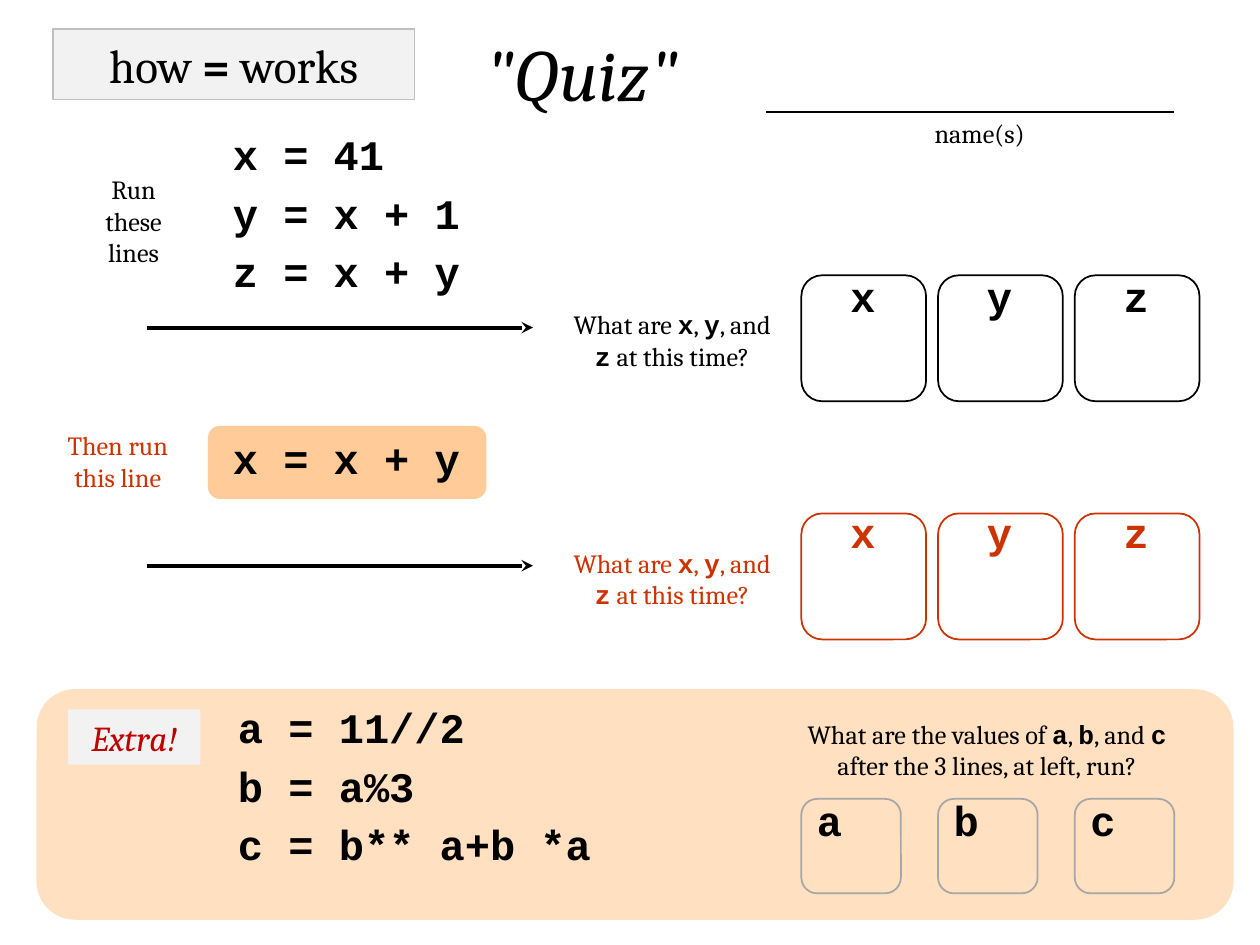
import pptx
import pptx.dml.color
import pptx.enum.shapes
import pptx.enum.text
import pptx.oxml.ns
import pptx.util
from lxml import etree

RGBColor = pptx.dml.color.RGBColor
SHAPE = pptx.enum.shapes.MSO_SHAPE
CENTER = pptx.enum.text.PP_ALIGN.CENTER
ANCHOR = pptx.enum.text.MSO_ANCHOR
Pt = pptx.util.Pt

BLACK = RGBColor(0x00, 0x00, 0x00)
RUST = RGBColor(0xCC, 0x33, 0x00)
RED = RGBColor(0xC0, 0x00, 0x00)
PEACH = RGBColor(0xFF, 0xE0, 0xC1)
ORANGE = RGBColor(0xFF, 0xCC, 0x99)
PALE = RGBColor(0xF2, 0xF2, 0xF2)
SILVER = RGBColor(0xBF, 0xBF, 0xBF)
GRAY = RGBColor(0xA6, 0xA6, 0xA6)

SERIF, MONO = "Cambria", "Courier New"
COLS, ROWS = 100, 75
WIDTH, HEIGHT = pptx.util.Inches(10), pptx.util.Inches(7.5)
BOX_LEFT, BOX_STEP = 63.6, 10.85


def grid(x, y):
    """Turn a column and a row into slide lengths."""
    return round(x * WIDTH / COLS), round(y * HEIGHT / ROWS)


def write(p, text, size, color, font=SERIF, italic=False, bold=False):
    """Write one paragraph, with the parts between backticks as bold code."""
    p.font.name, p.font.size = font, Pt(size)
    p.font.italic, p.font.bold = italic, bold
    p.font.color.rgb = color
    for i, part in enumerate(text.split("`")):
        if part:
            r = p.add_run()
            r.text = part
            if i % 2:
                r.font.name, r.font.bold = MONO, True


def add_box(s, kind, x, y, w, h, fill=None, line=None, weight=1, round_off=None):
    """Add a plain preset shape."""
    sp = s.shapes.add_shape(kind, *grid(x, y), *grid(w, h))
    sp.shadow.inherit = False
    if fill is None:
        sp.fill.background()
    else:
        sp.fill.solid()
        sp.fill.fore_color.rgb = fill
    if line is None:
        sp.line.fill.background()
    else:
        sp.line.color.rgb = line
        sp.line.width = Pt(weight)
    if round_off is not None:
        sp.adjustments[0] = round_off
    return sp


def add_text(s, x, y, w, h, wrap=True):
    """Add an empty text box and return its text frame."""
    tf = s.shapes.add_textbox(*grid(x, y), *grid(w, h)).text_frame
    tf.word_wrap = wrap
    return tf


def add_note(s, x, y, w, h, *lines, size=15, color=BLACK, italic=False, wrap=True):
    """Add centred serif text, one paragraph a line."""
    tf = add_text(s, x, y, w, h, wrap)
    for i, text in enumerate(lines):
        p = tf.add_paragraph() if i else tf.paragraphs[0]
        p.alignment = CENTER
        write(p, text, size, color, italic=italic)


def add_code(s, x, y, w, h, *lines, wrap=True):
    """Add lines of code in bold monospace."""
    tf = add_text(s, x, y, w, h, wrap)
    for i, text in enumerate(lines):
        p = tf.add_paragraph() if i else tf.paragraphs[0]
        p.line_spacing = 0.7
        p.space_before = Pt(13.3 if i else 6)
        write(p, text, 24, BLACK, MONO, bold=True)


def add_line(s, x1, x2, y, weight, arrow=False):
    """Add a horizontal line, with an arrowhead on request."""
    cx = s.shapes.add_connector(pptx.enum.shapes.MSO_CONNECTOR.STRAIGHT,
                                *grid(x1, y), *grid(x2, y))
    cx.line.color.rgb = BLACK
    cx.line.width = Pt(weight)
    qn = pptx.oxml.ns.qn
    if arrow:
        ln = cx.line.fill._xPr
        etree.SubElement(ln, qn("a:tailEnd"), type="stealth")
    etree.SubElement(cx._element.spPr, qn("a:effectLst"))


def add_answers(s, names, y, w, h, line, color, dx, dy):
    """Add a row of answer boxes, each with a variable name inside."""
    for i, name in enumerate(names):
        x = BOX_LEFT + i * BOX_STEP
        add_box(s, SHAPE.ROUNDED_RECTANGLE, x, y, w, h, line=line, round_off=0.167)
        tf = add_text(s, x + dx, y + dy, 4, 5, wrap=False)
        write(tf.paragraphs[0], name, 24, color, MONO, bold=True)


def add_label(s, x, y, w, h, text, size, color, italic=False, line=None):
    """Add a pale rectangle with centred text."""
    sp = add_box(s, SHAPE.RECTANGLE, x, y, w, h, PALE, line, 0.75)
    tf = sp.text_frame
    tf.vertical_anchor = ANCHOR.MIDDLE
    p = tf.paragraphs[0]
    p.alignment = CENTER
    write(p, text, size, color, italic=italic)
    return p


def add_step(s, y, color, dy):
    """Add an arrow, the question at its end and the boxes for x, y and z."""
    add_line(s, 11.7, 42.3, y, 2.25, arrow=True)
    add_note(s, 44.1, y - 2, 18.5, 6.1, "What are `x`, `y`, and `z` at this time?", color=color)
    add_answers(s, "xyz", y - 4.15, 9.9, 10, color, color, 2.9, dy)


def main():
    """Build the quiz slide."""
    prs = pptx.Presentation()
    prs.slide_width, prs.slide_height = WIDTH, HEIGHT
    s = prs.slides.add_slide(prs.slide_layouts[6])

    add_box(s, SHAPE.ROUNDED_RECTANGLE, 2.9, 54.7, 95, 18.3, PEACH)
    add_box(s, SHAPE.ROUNDED_RECTANGLE, 16.5, 33.8, 22.1, 5.8, ORANGE, round_off=0.167)

    title = add_label(s, 4.2, 2.3, 28.7, 5.6, "how = works", 27, BLACK, line=SILVER)
    title.clear()
    for text, bold in (("how ", False), ("=", True), (" works", False)):
        r = title.add_run()
        r.text, r.font.bold = text, bold
    add_note(s, 36.9, 1.7, 18.5, 8.1, '"Quiz"', size=42, italic=True)
    add_line(s, 60.8, 93.2, 8.9, 1)
    add_note(s, 73, 8.8, 9.5, 3.5, "name(s)", wrap=False)

    add_note(s, 6.7, 13.3, 7.8, 8.6, "Run", "these lines")
    add_code(s, 17.5, 10.8, 44.2, 13.5, "x = 41", "y = x + 1", "z = x + y")
    add_step(s, 26, BLACK, -0.85)

    add_note(s, 4.2, 33.6, 10.3, 6.1, "Then run this line", color=RUST)
    add_code(s, 17.5, 34.9, 20.2, 4.1, "x = x + y", wrap=False)
    add_step(s, 44.9, RUST, -1.05)

    add_label(s, 5.4, 56.3, 10.5, 4.4, "Extra!", 20, RED, italic=True)
    add_code(s, 17.9, 56.3, 31.5, 13.8, "a = 11//2", "b = a%3", "c = b** a+b *a")
    add_note(s, 61.5, 56.5, 33.7, 6.1,
             "What are the values of `a`, `b`, and `c` after the 3 lines, at left, run?")
    add_answers(s, "abc", 63.4, 7.9, 7.5, GRAY, BLACK, 0.25, -0.85)

    prs.save("out.pptx")


if __name__ == "__main__":
    main()
